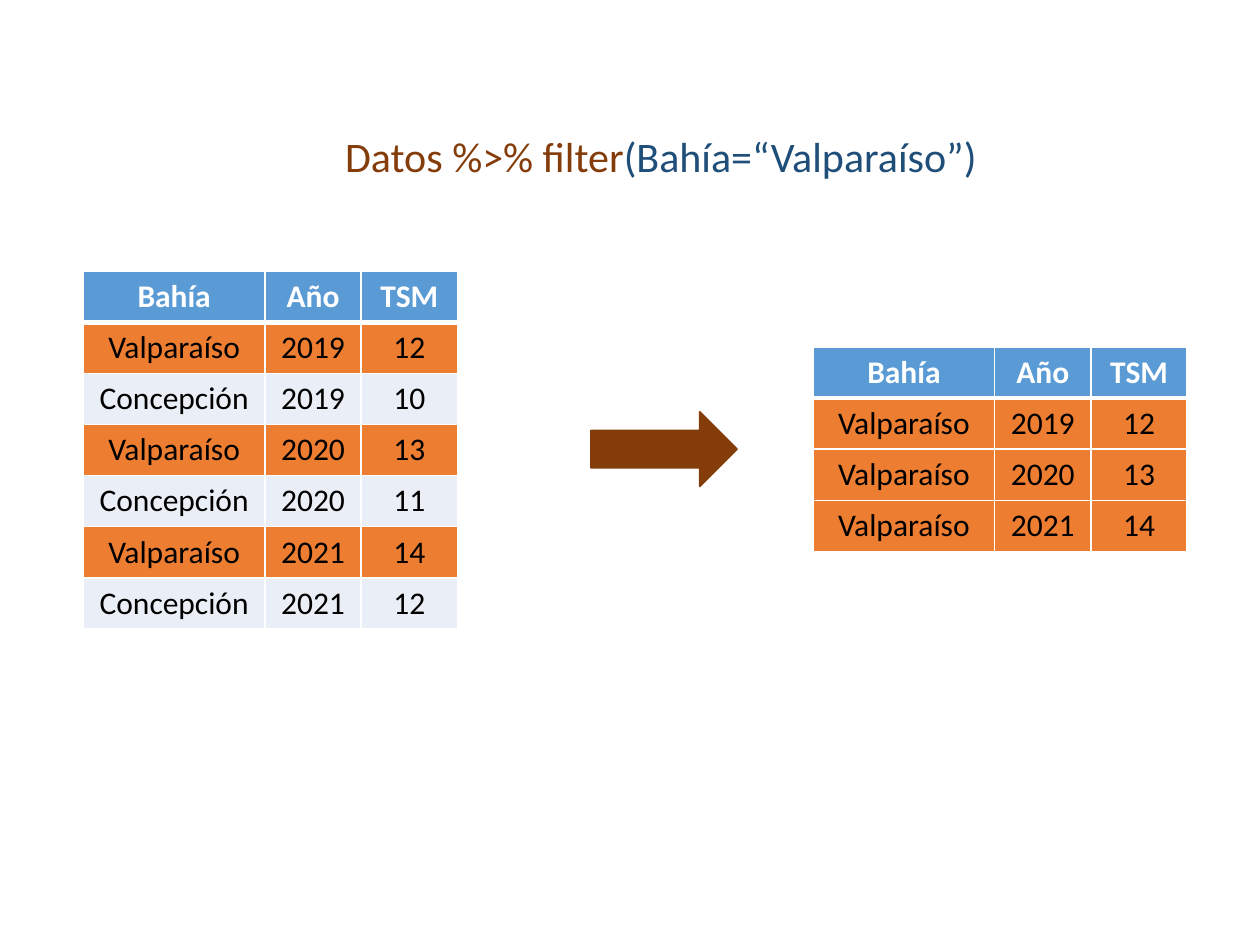
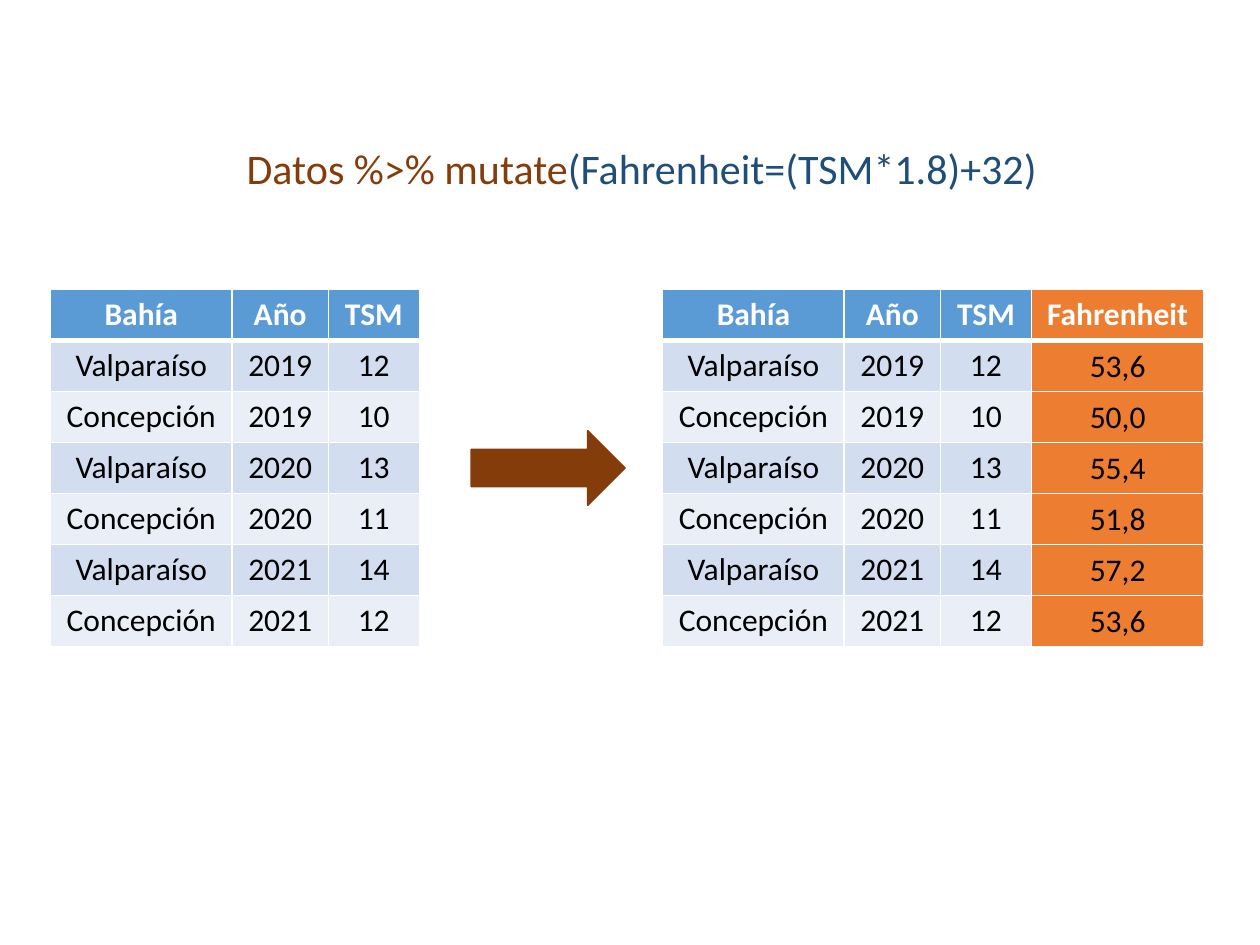
"""Build two slides that show how filter and mutate change a data table."""
from itertools import product
from lxml.etree import SubElement
from pptx import Presentation
from pptx.dml.color import RGBColor
from pptx.enum.shapes import MSO_SHAPE
from pptx.enum.text import MSO_ANCHOR, MSO_AUTO_SIZE, PP_ALIGN
from pptx.oxml.ns import qn
from pptx.util import Pt

HUES = {
    "head": "5B9BD5", "mark": "ED7D31", "odd": "D2DEEF", "even": "EAEFF7",
    "verb": "843C0B", "args": "1F4E79", "white": "FFFFFF", "black": "000000",
}
FONT = "Calibri"
ROW = 29.2
HEAD = ["Bahía", "Año", "TSM"]
TEMPS = {2019: (12, 10), 2020: (13, 11), 2021: (14, 12)}
BAYS = ["Valparaíso", "Concepción"]
DATA = [[bay, year, temp] for year, temps in TEMPS.items()
        for bay, temp in zip(BAYS, temps)]
KEPT = [row for row in DATA if row[0] == BAYS[0]]
WARM = [row + [f"{row[2] * 1.8 + 32:.1f}".replace(".", ",")] for row in DATA]
TIGHT = {
    "vertical_anchor": MSO_ANCHOR.MIDDLE, "margin_left": Pt(0.72),
    "margin_right": Pt(0.72), "margin_top": Pt(0.72), "margin_bottom": Pt(0),
}


def style(font, size, hue, bold=False):
    look = {"name": FONT, "size": Pt(size), "bold": bold}
    for key, value in look.items():
        setattr(font, key, value)
    font.color.rgb = RGBColor.from_string(HUES[hue])


def draw_table(slide, left, top, widths, rows, marked):
    frame = slide.shapes.add_table(len(rows), len(widths), Pt(left), Pt(top),
                                   Pt(sum(widths)), Pt(ROW * len(rows)))
    grid = frame.table
    grid.horz_banding = False
    for col, width in zip(grid.columns, widths):
        col.width = Pt(width)
    for line in grid.rows:
        line.height = Pt(ROW)
    for r, c in product(range(len(rows)), range(len(widths))):
        cell = grid.cell(r, c)
        cell.text = str(rows[r][c])
        para = cell.text_frame.paragraphs[0]
        para.alignment = PP_ALIGN.CENTER
        style(para.runs[0].font, 18, "black" if r else "white", r == 0)
        props = cell._tc.get_or_add_tcPr()
        for side in "LRTB":
            thick = (r, side) in [(0, "B"), (1, "T")]
            edge = SubElement(props, qn(f"a:ln{side}"), w=str(Pt(3 if thick else 1)))
            fill = SubElement(edge, qn("a:solidFill"))
            SubElement(fill, qn("a:srgbClr"), val=HUES["white"])
        base = "head" if r == 0 else "odd" if r % 2 else "even"
        hue = "mark" if marked(r, c) else base
        cell.fill.solid()
        cell.fill.fore_color.rgb = RGBColor.from_string(HUES[hue])
        if r and c == len(HEAD):
            for key, value in TIGHT.items():
                setattr(cell, key, value)


SLIDES = [
    {
        "title": ("Datos %>% filter", "(Bahía=“Valparaíso”)"),
        "box": (190.1, 71.3, 378.7, 36),
        "arrow": (337.7, 235.4, 83.5, 42.5),
        "tables": [
            (47.7, 155, [103.7, 55, 55], [HEAD] + DATA, lambda r, c: r % 2),
            (464.7, 198.3, [103.7, 55, 55], [HEAD] + KEPT, lambda r, c: r),
        ],
    },
    {
        "title": ("Datos %>% mutate", "(Fahrenheit=(TSM*1.8)+32)"),
        "box": (133.9, 77.8, 470.2, 36),
        "arrow": (269.3, 246.2, 87.8, 42.5),
        "tables": [
            (28.9, 165.2, [103.7, 55, 52], [HEAD] + DATA, lambda r, c: False),
            (378.7, 165.2, [103.7, 55, 52, 98.6],
             [HEAD + ["Fahrenheit"]] + WARM, lambda r, c: c == len(HEAD)),
        ],
    },
]

deck = Presentation()
deck.slide_width, deck.slide_height = Pt(720), Pt(540)
for plan in SLIDES:
    slide = deck.slides.add_slide(deck.slide_layouts[6])

    title = slide.shapes.add_textbox(*map(Pt, plan["box"])).text_frame
    title.word_wrap = False
    title.auto_size = MSO_AUTO_SIZE.SHAPE_TO_FIT_TEXT
    for text, hue in zip(plan["title"], ("verb", "args")):
        run = title.paragraphs[0].add_run()
        run.text = text
        style(run.font, 24, hue)

    arrow = slide.shapes.add_shape(MSO_SHAPE.RIGHT_ARROW, *map(Pt, plan["arrow"]))
    arrow.shadow.inherit = False
    arrow.fill.solid()
    arrow.line.width = Pt(1)
    for paint in (arrow.fill.fore_color, arrow.line.color):
        paint.rgb = RGBColor.from_string(HUES["verb"])

    for table in plan["tables"]:
        draw_table(slide, *table)

deck.save("out.pptx")
